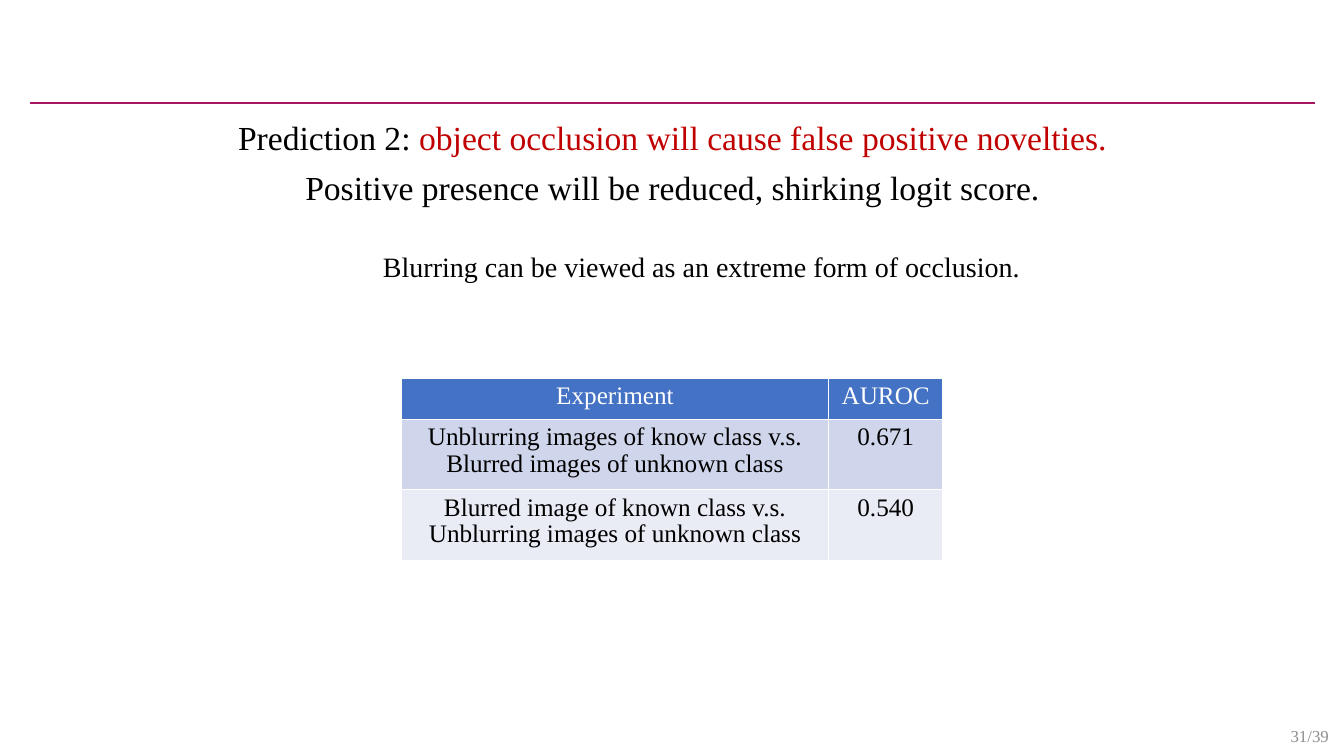
from dataclasses import dataclass

from lxml import etree
from pptx import Presentation
from pptx.dml.color import RGBColor
from pptx.enum.shapes import MSO_CONNECTOR
from pptx.enum.text import MSO_ANCHOR, MSO_AUTO_SIZE, PP_ALIGN
from pptx.oxml.ns import qn
from pptx.util import Inches, Pt

STRAIGHT = MSO_CONNECTOR.STRAIGHT
MIDDLE = MSO_ANCHOR.MIDDLE
LEFT, CENTER = PP_ALIGN.LEFT, PP_ALIGN.CENTER
NO_FIT = MSO_AUTO_SIZE.NONE


@dataclass(frozen=True)
class Theme:
    font: str = "Times New Roman"
    text: str = "000000"
    accent: str = "C00000"
    rule: str = "A6155F"
    muted: str = "8C8C8C"
    white: str = "FFFFFF"
    header: str = "4472C4"
    bands: tuple = ("CFD5EA", "E9EBF5")
    claim_size: int = 24
    note_size: int = 20
    table_size: int = 18
    page_size: int = 12


THEME = Theme()


def format_run(r, size, color):
    r.font.name = THEME.font
    r.font.size = Pt(size)
    r.font.bold = False
    r.font.color.rgb = RGBColor.from_string(color)


def add_rule(slide, left, right, y):
    line = slide.shapes.add_connector(
        STRAIGHT, Inches(left), Inches(y), Inches(right), Inches(y))
    line.line.color.rgb = RGBColor.from_string(THEME.rule)
    line.line.width = Pt(1.5)
    etree.SubElement(line._element.spPr, qn("a:effectLst"))


def add_label(slide, text, box, size, color, align=LEFT, wrap=True):
    sp = slide.shapes.add_textbox(*map(Inches, box))
    tf = sp.text_frame
    tf.word_wrap = wrap
    tf.vertical_anchor = MIDDLE
    tf.text = text
    p = tf.paragraphs[0]
    p.alignment = align
    format_run(p.runs[0], size, color)


def fill_body(sp, box, lines):
    sp.left, sp.top, sp.width, sp.height = map(Inches, box)
    tf = sp.text_frame
    tf.auto_size = NO_FIT
    for i, parts in enumerate(lines):
        p = tf.add_paragraph() if i else tf.paragraphs[0]
        pPr = p._p.get_or_add_pPr()
        pPr.set("marL", "0")
        pPr.set("indent", "0")
        etree.SubElement(pPr, qn("a:buNone"))
        p.alignment = CENTER
        p.line_spacing = 0.9
        p.space_before = Pt(10 if i else 0)
        for text, color in parts:
            r = p.add_run()
            r.text = text
            format_run(r, THEME.claim_size, color)


def fill_cell(cell, text, fill, color):
    cell.fill.solid()
    cell.fill.fore_color.rgb = RGBColor.from_string(fill)
    cell.text_frame.text = text
    for p in cell.text_frame.paragraphs:
        p.alignment = CENTER
        p.line_spacing = 0.95
        format_run(p.runs[0], THEME.table_size, color)


def add_results(slide, left, top, widths, heights, rows):
    frame = slide.shapes.add_table(
        len(rows), len(widths), Inches(left), Inches(top),
        Inches(sum(widths)), Inches(sum(heights)))
    table = frame.table
    for column, width in zip(table.columns, widths):
        column.width = Inches(width)
    for row, height in zip(table.rows, heights):
        row.height = Inches(height)
    fills = (THEME.header, *THEME.bands)
    for i, values in enumerate(rows):
        color = THEME.text if i else THEME.white
        for j, value in enumerate(values):
            fill_cell(table.cell(i, j), value, fills[i], color)


def main():
    prs = Presentation()
    prs.slide_width, prs.slide_height = Inches(13.33), Inches(7.5)
    slide = prs.slides.add_slide(prs.slide_layouts[1])
    title = slide.shapes.title._element
    title.getparent().remove(title)

    add_rule(slide, 0.3, 13.04, 1.02)
    fill_body(slide.placeholders[1], (0.45, 1.15, 12.44, 0.97), [
        [("Prediction 2: ", THEME.text),
         ("object occlusion will cause false positive novelties.", THEME.accent)],
        [("Positive presence will be reduced, shirking logit score.", THEME.text)],
    ])
    add_label(slide, "Blurring can be viewed as an extreme form of occlusion.",
              (3.7, 2.42, 6.56, 0.44), THEME.note_size, THEME.text, wrap=False)
    add_results(slide, 3.98, 3.75, (4.24, 1.13), (0.41, 0.7, 0.7), [
        ("Experiment", "AUROC"),
        ("Unblurring images of know class v.s. Blurred images of unknown class",
         "0.671"),
        ("Blurred image of known class v.s.\nUnblurring images of unknown class",
         "0.540"),
    ])
    add_label(slide, "31/39", (12.65, 7.1, 0.68, 0.4),
              THEME.page_size, THEME.muted, align=CENTER)
    prs.save("out.pptx")


if __name__ == "__main__":
    main()
